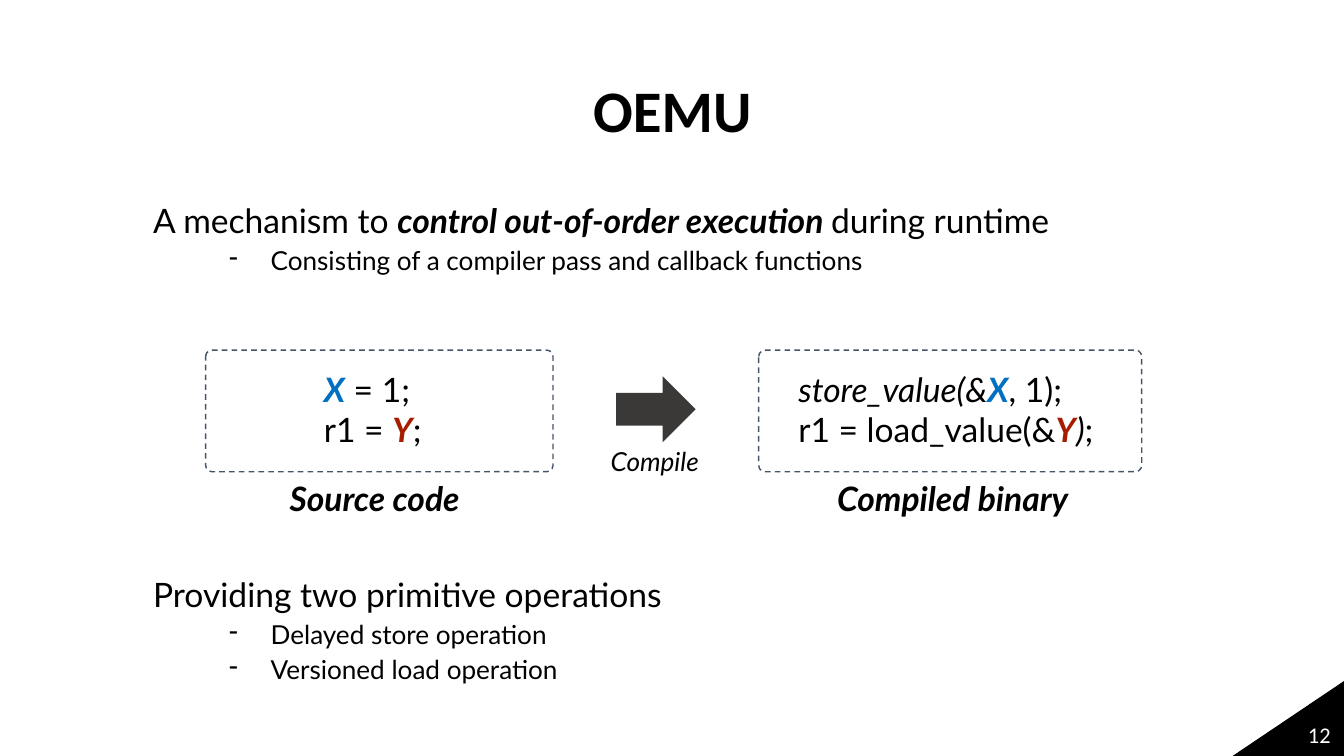
from pptx import Presentation
from pptx.dml.color import RGBColor
from pptx.enum.dml import MSO_LINE
from pptx.enum.shapes import MSO_SHAPE as Shape
from pptx.enum.text import MSO_ANCHOR as Anchor, PP_ALIGN as Align
from pptx.oxml.ns import qn
from pptx.util import Inches, Pt
from lxml import etree

BLACK, WHITE, BLUE, RED = "000000", "FFFFFF", "0070C0", "A61C00"
SLATE, CHARCOAL = "44546A", "3B3838"
ITALIC = {"italic": True}
STRONG = {"bold": True, "italic": True}


def color(value):
    return RGBColor.from_string(value)


class SlideBuilder:
    """Holds the text style and the slide being filled."""

    heading_font, body_font = "Calibri", "Lato"
    large, small = 36, 28

    def __init__(self, page):
        self.page = page

    def add_spans(self, para, spans, size, font=None, ink=BLACK):
        """Add (text, format) spans to a paragraph."""
        for text, changes in spans:
            span = para.add_run()
            span.text = text
            style = {"name": font or self.body_font, "size": Pt(size),
                     "bold": False, "italic": False, **changes}
            span.font.color.rgb = color(style.pop("ink", ink))
            for name, value in style.items():
                setattr(span.font, name, value)

    def title(self, text, place):
        box = self.page.shapes.title
        box.left, box.top, box.width, box.height = map(Inches, place)
        box.text_frame.vertical_anchor = Anchor.MIDDLE
        para = box.text_frame.paragraphs[0]
        para.alignment, para.line_spacing = Align.CENTER, 0.9
        self.add_spans(para, [(text, {"bold": True})], 63, self.heading_font)

    def frame(self, place, wrap=True, inset=None):
        frame = self.page.shapes.add_textbox(*map(Inches, place)).text_frame
        frame.word_wrap = wrap
        if inset is not None:
            for side in ("left", "top", "right", "bottom"):
                setattr(frame, f"margin_{side}", Inches(inset))
        return frame

    def text(self, lines, place, size=large, wrap=True, inset=None):
        frame = self.frame(place, wrap, inset)
        for index, spans in enumerate(lines):
            para = frame.add_paragraph() if index else frame.paragraphs[0]
            self.add_spans(para, spans, size)

    def outline(self, lead, points, place):
        """A lead sentence with dashed points under it."""
        frame = self.frame(place)
        para = frame.paragraphs[0]
        para.line_spacing = 0.9
        self.add_spans(para, lead, self.large)
        for point in points:
            para = frame.add_paragraph()
            para.level, para.line_spacing, para.space_before = 1, 0.9, Pt(7.5)
            props = para._p.get_or_add_pPr()
            props.set("marL", str(Inches(1.75)))
            props.set("indent", str(Inches(-0.62)))
            etree.SubElement(props, qn("a:buChar")).set("char", "-")
            self.add_spans(para, [(point, {})], self.small)

    def shape(self, kind, place, fill):
        shape = self.page.shapes.add_shape(kind, *map(Inches, place))
        shape.shadow.inherit = False
        if fill:
            shape.fill.solid()
            shape.fill.fore_color.rgb = color(fill)
        else:
            shape.fill.background()
        shape.line.fill.background()
        return shape

    def code_panel(self, lines, caption, panel, code, label):
        self.text([[(caption, STRONG)]], label)
        self.text(lines, code, inset=0.2)
        border = self.shape(Shape.ROUNDED_RECTANGLE, panel, None)
        border.adjustments[0] = 0.052
        border.line.color.rgb = color(SLATE)
        border.line.width = Pt(1.5)
        border.line.dash_style = MSO_LINE.DASH

    def page_number(self, number):
        corner = self.shape(Shape.RIGHT_TRIANGLE, (18.31, 10.13, 1.71, 1.15), BLACK)
        corner.line.color.rgb = color(BLACK)
        corner.line.width = Pt(1)
        corner._element.spPr.get_or_add_xfrm().set("flipH", "1")
        frame = self.frame((15.4, 10.63, 4.5, 0.6))
        frame.vertical_anchor = Anchor.MIDDLE
        para = frame.paragraphs[0]
        para.alignment = Align.RIGHT
        self.add_spans(para, [(number, {})], 24, self.heading_font, WHITE)


def main():
    deck = Presentation()
    deck.slide_width, deck.slide_height = Inches(20), Inches(11.25)
    slide = SlideBuilder(deck.slides.add_slide(deck.slide_layouts[5]))
    x_name = ("X", {**STRONG, "ink": BLUE})
    y_name = ("Y", {**STRONG, "ink": RED})

    # Page number and title
    slide.page_number("12")
    slide.title("OEMU", (1.38, 0.6, 17.25, 2.17))

    # What it is
    slide.outline(
        [("A mechanism to ", {}),
         ("control out-of-order execution ", STRONG),
         ("during runtime", {})],
        ["Consisting of a compiler pass and callback functions"],
        (2.18, 3, 16.44, 1.81))

    # From source code to compiled binary
    slide.code_panel(
        [[x_name, (" = 1;", {})],
         [("r1 = ", {}), y_name, (";", {})]],
        "Source code", panel=(3.06, 5.21, 5.17, 1.81),
        code=(4.62, 5.29, 2.05, 1.62), label=(4.21, 7.06, 3.02, 0.71))
    slide.code_panel(
        [[("store_value(&", ITALIC), x_name, (", 1);", {})],
         [("r1 = load_value(&", {}), y_name, (")", ITALIC), (";", {})]],
        "Compiled binary", panel=(11.29, 5.21, 5.7, 1.81),
        code=(11.68, 5.29, 5.11, 1.62), label=(12.36, 7.06, 4.04, 0.71))
    slide.shape(Shape.RIGHT_ARROW, (9.17, 5.6, 1.18, 0.98), CHARCOAL)
    slide.text([[("Compile", ITALIC)]], (8.99, 6.58, 1.53, 0.57),
               slide.small, wrap=False)

    # What it offers
    slide.outline(
        [("Providing two primitive operations", {})],
        ["Delayed store operation", "Versioned load operation"],
        (2.18, 8.56, 11.63, 2.02))

    deck.save("out.pptx")


if __name__ == "__main__":
    main()
